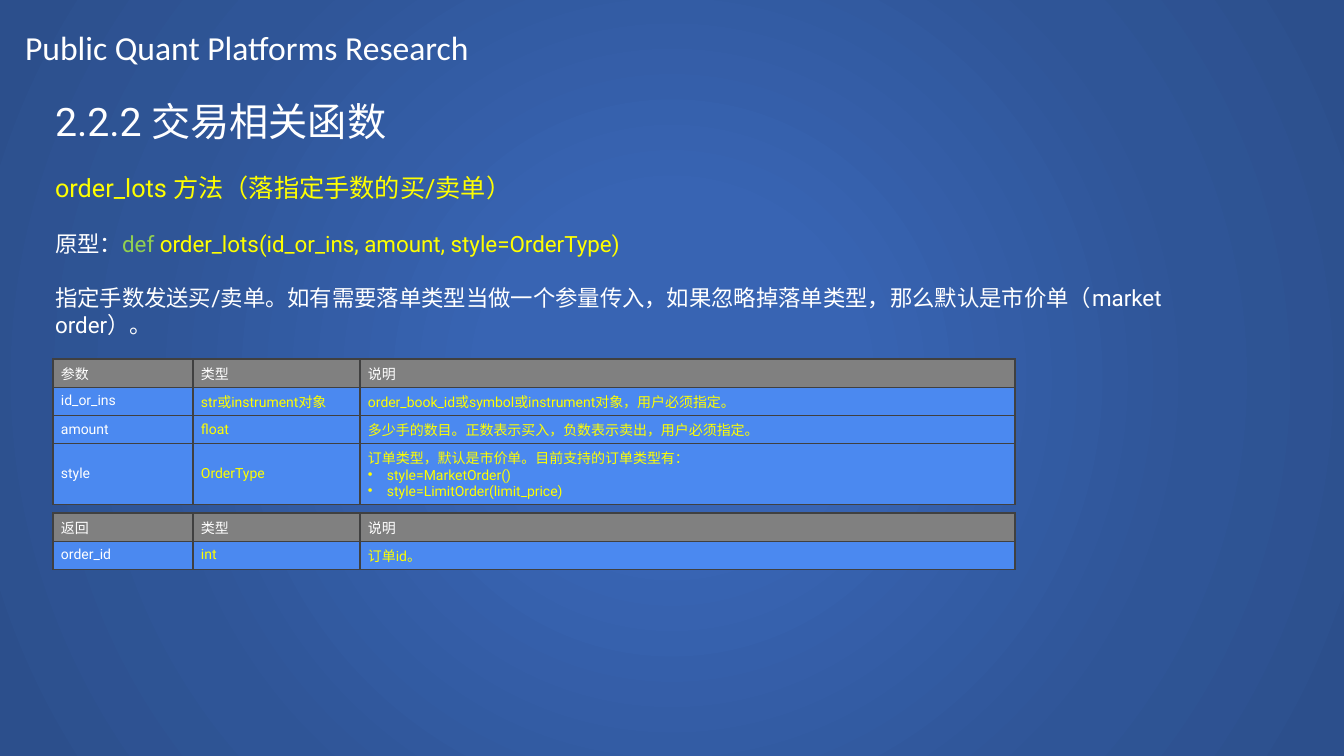
from lxml import etree
from pptx import Presentation
from pptx import util as u
from pptx.dml.color import RGBColor
from pptx.enum import shapes, text
from pptx.oxml.ns import qn

# Colours
WHITE = RGBColor(0xFF, 0xFF, 0xFF)
YELLOW = RGBColor(0xFF, 0xFF, 0x00)
GREEN = RGBColor(0x92, 0xD0, 0x50)
HEADER_GREY = RGBColor(0x80, 0x80, 0x80)
ROW_BLUE = RGBColor(0x4B, 0x89, 0xF0)
BORDER = RGBColor(0x40, 0x40, 0x40)
GRADIENT = [(0, RGBColor(0x38, 0x64, 0xB3)), (23, RGBColor(0x38, 0x64, 0xB3)),
            (69, RGBColor(0x2F, 0x55, 0x97)), (97, RGBColor(0x2C, 0x4F, 0x8C))]

# Content
TITLE = "Public Quant Platforms Research"
BODY = [  # size, space before, runs
    (28, 0, [("2.2.2 交易相关函数", WHITE)]),
    (18, 20, [("order_lots 方法（落指定手数的买/卖单）", YELLOW)]),
    (16, 20, [("原型：", WHITE), ("def ", GREEN),
              ("order_lots(id_or_ins, amount, style=OrderType)", YELLOW)]),
    (16, 19, [("指定手数发送买/卖单。如有需要落单类型当做一个参量传入，如果忽略掉落单类型，"
               "那么默认是市价单（market order）。", WHITE)]),
]
PARAMETERS = [
    ("参数", "类型", "说明"),
    ("id_or_ins", "str或instrument对象",
     "order_book_id或symbol或instrument对象，用户必须指定。"),
    ("amount", "float", "多少手的数目。正数表示买入，负数表示卖出，用户必须指定。"),
    ("style", "OrderType", ("订单类型，默认是市价单。目前支持的订单类型有：",
                            "style=MarketOrder()", "style=LimitOrder(limit_price)")),
]
RETURNS = [("返回", "类型", "说明"), ("order_id", "int", "订单id。")]

# Layout in px
SLIDE_SIZE = (1344, 756)
TITLE_BOX = (15, 22, 508, 51)
BODY_BOX = (45, 92, 1187, 285)
TABLE_LEFT = 53
COLUMNS = (140, 167, 655)
ROW, LINE = 24, 17
BULLET_INDENT = 19


def px(length):
    return u.Emu(round(length * 914400 / 100.8))


def place(shape, box):
    shape.left, shape.top, shape.width, shape.height = map(px, box)


def set_indent(paragraph, indent, bullet=None):
    properties = paragraph._p.get_or_add_pPr()
    properties.set("marL", str(px(indent)))
    properties.set("indent", str(-px(indent)))
    if bullet:
        etree.SubElement(properties, qn("a:buChar"), char=bullet)
    else:
        etree.SubElement(properties, qn("a:buNone"))


def set_font(paragraph, name, size, color=None):
    paragraph.font.name = name
    paragraph.font.size = u.Pt(size)
    if color is not None:
        paragraph.font.color.rgb = color


def set_borders(cell):
    properties = cell._tc.get_or_add_tcPr()
    for position, side in enumerate(("lnL", "lnR", "lnT", "lnB")):
        line = etree.Element(qn("a:" + side), w=str(u.Pt(1)))
        fill = etree.SubElement(line, qn("a:solidFill"))
        etree.SubElement(fill, qn("a:srgbClr"), val=str(BORDER))
        properties.insert(position, line)


def add_backdrop(slide):
    backdrop = slide.shapes.add_shape(shapes.MSO_SHAPE.RECTANGLE, 0, 0, *map(px, SLIDE_SIZE))
    backdrop.shadow.inherit = False
    backdrop.line.fill.background()
    backdrop.fill.gradient()
    gradient = backdrop._element.spPr.find(qn("a:gradFill"))
    for child in list(gradient):
        gradient.remove(child)
    stops = etree.SubElement(gradient, qn("a:gsLst"))
    for percent, color in GRADIENT:
        stop = etree.SubElement(stops, qn("a:gs"), pos=str(percent * 1000))
        etree.SubElement(stop, qn("a:srgbClr"), val=str(color))
    circle = etree.SubElement(gradient, qn("a:path"), path="circle")
    etree.SubElement(circle, qn("a:fillToRect"),
                     {side: "50000" for side in "ltrb"})
    slide.shapes._spTree.insert(2, backdrop._element)  # behind the placeholders


def add_table(slide, top, rows):
    heights = [ROW + LINE * (len(row[2]) - 1 if isinstance(row[2], tuple) else 0)
               for row in rows]
    frame = slide.shapes.add_table(len(rows), len(COLUMNS), px(TABLE_LEFT), px(top),
                                   px(sum(COLUMNS)), px(sum(heights)))
    table = frame.table
    for column, width in zip(table.columns, COLUMNS):
        column.width = px(width)
    for i, row in enumerate(rows):
        table.rows[i].height = px(heights[i])
        for j, content in enumerate(row):
            cell = table.cell(i, j)
            cell.fill.solid()
            cell.fill.fore_color.rgb = ROW_BLUE if i else HEADER_GREY
            cell.vertical_anchor = text.MSO_ANCHOR.MIDDLE
            cell.margin_left = cell.margin_right = px(8)
            cell.margin_top = cell.margin_bottom = px(4)
            set_borders(cell)
            lines = content if isinstance(content, tuple) else (content,)
            cell.text = "\n".join(lines)
            for k, paragraph in enumerate(cell.text_frame.paragraphs):
                if k:
                    set_indent(paragraph, BULLET_INDENT, "•")
                set_font(paragraph, "Roboto", 10, YELLOW if i and j else WHITE)
                paragraph.font.bold = False


presentation = Presentation()
presentation.slide_width, presentation.slide_height = map(px, SLIDE_SIZE)
slide = presentation.slides.add_slide(presentation.slide_layouts[1])
add_backdrop(slide)

# Title
title = slide.shapes.title
place(title, TITLE_BOX)
title.text_frame.text = TITLE
title.text_frame.vertical_anchor = text.MSO_ANCHOR.TOP
title.text_frame.auto_size = text.MSO_AUTO_SIZE.NONE
title_paragraph = title.text_frame.paragraphs[0]
title_paragraph.alignment = text.PP_ALIGN.LEFT
set_font(title_paragraph, "Calibri", 24, WHITE)

# Method description
body = slide.placeholders[1]
place(body, BODY_BOX)
body.text_frame.auto_size = text.MSO_AUTO_SIZE.NONE
for i, (size, space, runs) in enumerate(BODY):
    paragraph = body.text_frame.paragraphs[0] if i == 0 else body.text_frame.add_paragraph()
    set_indent(paragraph, 0)
    paragraph.space_before = u.Pt(space)
    set_font(paragraph, "Roboto", size)
    for words, color in runs:
        run = paragraph.add_run()
        run.text = words
        run.font.color.rgb = color

# Parameter and return tables
add_table(slide, 359, PARAMETERS)
add_table(slide, 513, RETURNS)

presentation.save("out.pptx")
